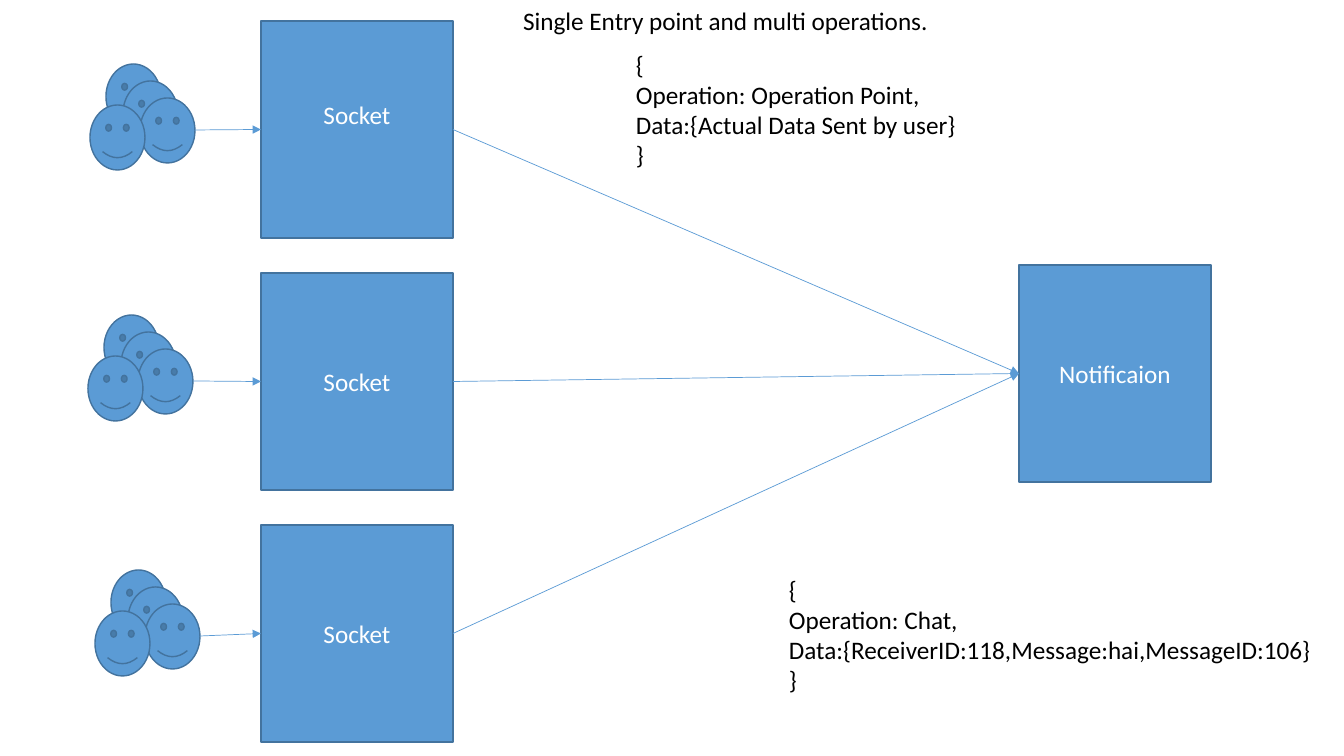
from pptx import Presentation
from pptx.dml.color import RGBColor
from pptx.enum.shapes import MSO_CONNECTOR, MSO_SHAPE
from pptx.enum.text import MSO_ANCHOR, MSO_AUTO_SIZE, PP_ALIGN
from pptx.oxml.ns import qn
from pptx.util import Emu, Pt
from lxml.etree import SubElement

COLORS = {"fill": "5B9BD5", "outline": "43739E", "light": "FFFFFF", "dark": "000000"}
LEFT_SITE, RIGHT_SITE = 1, 3


def px(pixels):
    return Emu(round(pixels * 914400 / 100.8))


def color(name):
    return RGBColor.from_string(COLORS[name])


class Diagram:
    font, size = "Calibri", Pt(18)

    def __init__(self, slide):
        self.slide = slide

    def add_text(self, paragraph, text, ink, align):
        paragraph.alignment = align
        for i, line in enumerate(text.split("\n")):
            if i:
                paragraph.add_line_break()
            run = paragraph.add_run()
            run.text = line
            run.font.name, run.font.size = self.font, self.size
            run.font.color.rgb = color(ink)

    def title(self, text, x, y, w, h):
        title = self.slide.shapes.title
        title.left, title.top, title.width, title.height = map(px, (x, y, w, h))
        frame = title.text_frame
        frame.auto_size = MSO_AUTO_SIZE.NONE
        frame.word_wrap = False
        frame.vertical_anchor = MSO_ANCHOR.TOP
        self.add_text(frame.paragraphs[0], text, "dark", PP_ALIGN.LEFT)

    def shape(self, kind, x, y, w, h):
        shape = self.slide.shapes.add_shape(kind, *map(px, (x, y, w, h)))
        shape.shadow.inherit = False
        shape.fill.solid()
        shape.fill.fore_color.rgb = color("fill")
        shape.line.color.rgb = color("outline")
        shape.line.width = Pt(1)
        return shape

    def box(self, text, x, y, lift=0):
        box = self.shape(MSO_SHAPE.RECTANGLE, x, y, 192, 217)
        frame = box.text_frame
        frame.word_wrap = True
        frame.vertical_anchor = MSO_ANCHOR.MIDDLE
        frame.margin_bottom = px(5 + 2 * lift)
        self.add_text(frame.paragraphs[0], text, "light", PP_ALIGN.CENTER)
        return box

    def users(self, x, y):
        for dx, dy in [(16, -41), (33, -24), (50, -7), (0, 0)]:
            self.shape(MSO_SHAPE.SMILEY_FACE, x + dx, y + dy, 55, 65)

    def arrow(self, target, source=None, start=(0, 0)):
        x, y = map(px, start)
        arrow = self.slide.shapes.add_connector(MSO_CONNECTOR.STRAIGHT, x, y, x, y)
        if source is not None:
            arrow.begin_connect(source, RIGHT_SITE)
        arrow.end_connect(target, LEFT_SITE)
        arrow.line.color.rgb = color("fill")
        arrow.line.width = Pt(0.5)
        properties = arrow._element.spPr
        SubElement(properties.find(qn("a:ln")), qn("a:tailEnd"), type="triangle")
        SubElement(properties, qn("a:effectLst"))

    def message(self, paragraphs, x, y, w, h):
        frame = self.slide.shapes.add_textbox(*map(px, (x, y, w, h))).text_frame
        frame.word_wrap = True
        for i, text in enumerate(paragraphs):
            paragraph = frame.add_paragraph() if i else frame.paragraphs[0]
            self.add_text(paragraph, text, "dark", PP_ALIGN.LEFT)


prs = Presentation()
prs.slide_width, prs.slide_height = px(1344), px(756)
diagram = Diagram(prs.slides.add_slide(prs.slide_layouts[5]))

# Heading
diagram.title("Single Entry point and multi operations.", 513, 0, 430, 72)

# Users reach sockets, sockets reach the notification service
notification = diagram.box("Notificaion", 1019, 265)
user_groups = [(90, 105), (88, 356), (95, 611)]
for row, (x, y) in enumerate(user_groups):
    socket = diagram.box("Socket", 261, 21 + 252 * row, lift=0 if row else 15)
    diagram.users(x, y)
    diagram.arrow(socket, start=(x + 105, y + 25))
    diagram.arrow(notification, source=socket)

# Message formats
diagram.message(["{", "Operation: Operation Point,\nData:{Actual Data Sent by user}", "}"],
                626, 44, 420, 132)
diagram.message(["{", "Operation: Chat,\nData:{ReceiverID:118,Message:hai,MessageID:106}", "}"],
                779, 569, 565, 132)

prs.save("out.pptx")
